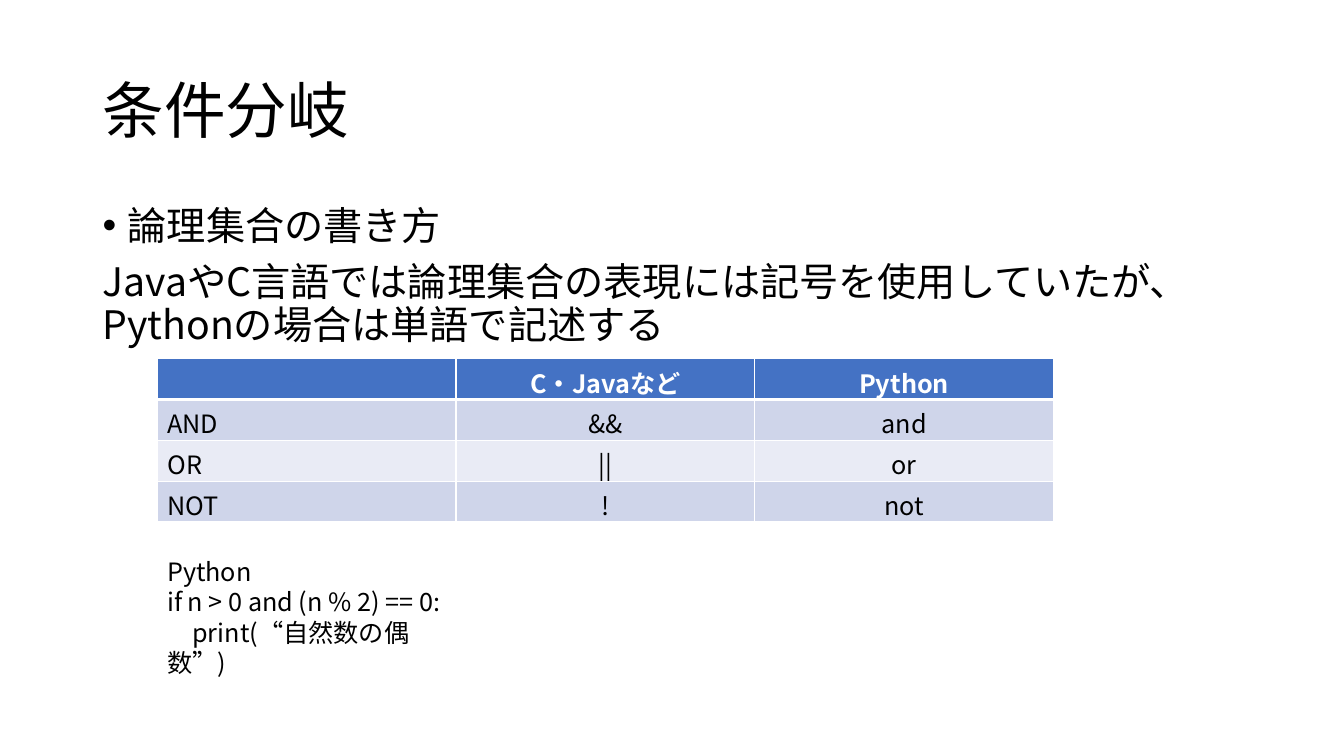
from dataclasses import dataclass

from lxml import etree
from pptx import Presentation
from pptx.dml.color import RGBColor
from pptx.enum.text import MSO_ANCHOR, MSO_AUTO_SIZE, PP_ALIGN
from pptx.oxml.ns import qn
from pptx.util import Inches, Pt

LEFT, CENTER = PP_ALIGN.LEFT, PP_ALIGN.CENTER
TOP, MIDDLE = MSO_ANCHOR.TOP, MSO_ANCHOR.MIDDLE
FIT_SHAPE = MSO_AUTO_SIZE.SHAPE_TO_FIT_TEXT


@dataclass(frozen=True)
class Theme:
    font: str = "Noto Sans CJK JP"
    ink: str = "000000"
    white: str = "FFFFFF"
    header: str = "4472C4"
    bands: tuple = ("CFD5EA", "E9EBF5")
    title_size: int = 44
    body_size: int = 28
    small_size: int = 18


THEME = Theme()


def write(frame, *lines, size=THEME.small_size, color=THEME.ink, bold=False,
          align=LEFT, spacing=1.0, before=0, bulleted=0):
    """Fill a text frame, one paragraph per line; the first `bulleted` lines get a bullet."""
    for index, line in enumerate(lines):
        paragraph = frame.paragraphs[0] if index == 0 else frame.add_paragraph()
        paragraph.alignment = align
        paragraph.line_spacing = spacing
        paragraph.space_before = Pt(before)
        if index < bulleted:
            properties = paragraph._p.get_or_add_pPr()
            properties.set("marL", str(Inches(0.25)))
            properties.set("indent", str(Inches(-0.25)))
            etree.SubElement(properties, qn("a:buFont"), typeface="Arial")
            etree.SubElement(properties, qn("a:buChar"), char="•")
        run = paragraph.add_run()
        run.text = line
        run.font.name = THEME.font
        run.font.size = Pt(size)
        run.font.bold = bold
        run.font.color.rgb = RGBColor.from_string(color)
        etree.SubElement(run._r.get_or_add_rPr(), qn("a:ea"), typeface=THEME.font)


def set_borders(cell, **widths):
    """Draw white cell borders; widths in points, keyed by side L, R, T, B in that order."""
    properties = cell._tc.get_or_add_tcPr()
    for index, (side, width) in enumerate(widths.items()):
        line = etree.Element(qn(f"a:ln{side}"), w=str(Pt(width)))
        fill = etree.SubElement(line, qn("a:solidFill"))
        etree.SubElement(fill, qn("a:srgbClr"), val=THEME.white)
        properties.insert(index, line)


prs = Presentation()
prs.slide_width = Inches(13.33)
prs.slide_height = Inches(7.5)
slide = prs.slides.add_slide(prs.slide_layouts[6])

# Title and explanation
title = slide.shapes.add_textbox(Inches(0.92), Inches(0.4), Inches(11.5), Inches(1.45)).text_frame
title.word_wrap = True
title.vertical_anchor = MIDDLE
write(title, "条件分岐", size=THEME.title_size, spacing=0.9)

explanation = slide.shapes.add_textbox(Inches(0.92), Inches(2), Inches(11.5), Inches(4.76)).text_frame
explanation.word_wrap = True
explanation.vertical_anchor = TOP
write(explanation,
      "論理集合の書き方",
      "JavaやC言語では論理集合の表現には記号を使用していたが、Pythonの場合は単語で記述する",
      size=THEME.body_size, spacing=0.9, before=10, bulleted=1)

# Operator comparison
OPERATORS = [
    ("", "C・Javaなど", "Python"),
    ("AND", "&&", "and"),
    ("OR", "||", "or"),
    ("NOT", "!", "not"),
]
comparison = slide.shapes.add_table(
    len(OPERATORS), len(OPERATORS[0]),
    Inches(1.56), Inches(3.56), Inches(8.89), Inches(1.62)).table
for r, operator_row in enumerate(OPERATORS):
    is_header = r == 0
    for c, label in enumerate(operator_row):
        cell = comparison.cell(r, c)
        cell.fill.solid()
        cell.fill.fore_color.rgb = RGBColor.from_string(
            THEME.header if is_header else THEME.bands[(r - 1) % 2])
        set_borders(cell, L=1, R=1, T=3 if r == 1 else 1, B=3 if is_header else 1)
        if label:
            write(cell.text_frame, label, bold=is_header,
                  color=THEME.white if is_header else THEME.ink,
                  align=CENTER if c else LEFT)

# Code example
example = slide.shapes.add_textbox(Inches(1.56), Inches(5.47), Inches(3.17), Inches(1.01)).text_frame
example.word_wrap = False
example.auto_size = FIT_SHAPE
write(example, "Python", "if n > 0 and (n % 2) == 0:", "　print(“自然数の偶数”)")

prs.save("out.pptx")
